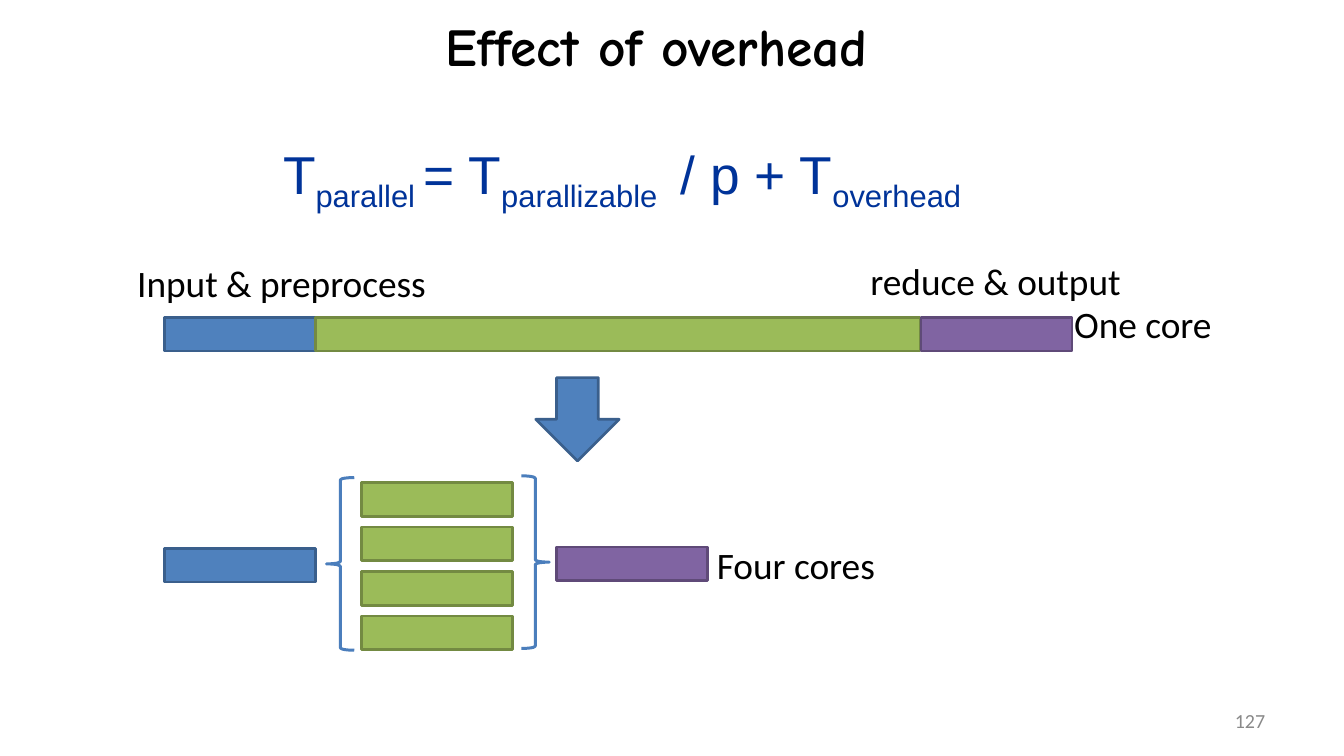
"""Build a slide on how overhead affects parallel run time."""
from typing import NamedTuple

from pptx import Presentation
from pptx.dml.color import RGBColor
from pptx.enum.shapes import MSO_SHAPE
from pptx.enum.text import MSO_ANCHOR, PP_ALIGN
from pptx.util import Pt

RECT, ARROW = MSO_SHAPE.RECTANGLE, MSO_SHAPE.DOWN_ARROW
OPEN, CLOSE = MSO_SHAPE.LEFT_BRACE, MSO_SHAPE.RIGHT_BRACE
TOP, MIDDLE = MSO_ANCHOR.TOP, MSO_ANCHOR.MIDDLE
LEFT, CENTER, RIGHT = PP_ALIGN.LEFT, PP_ALIGN.CENTER, PP_ALIGN.RIGHT

BLUE, GREEN, PURPLE = ("4F81BD", "3A5F8C"), ("9BBB59", "738A42"), ("8064A2", "5F4A78")
BRACE = "4B7EBC"
UNIT, HIGH = 113.3, 25.2
START, SPLIT, JOIN = 123.6, 271.2, 417.6


class Block(NamedTuple):
    """A filled shape: place, fill and line pair, and preset."""
    x: float
    y: float
    w: float
    h: float
    hue: tuple[str, str]
    kind: MSO_SHAPE = RECT


class Label(NamedTuple):
    """A line of text with its box and look."""
    text: str
    x: float
    y: float
    w: float
    h: float
    size: float = 28
    font: str = "Calibri"
    hue: str = "000000"
    bold: bool = False
    wrap: bool = False
    align: PP_ALIGN = LEFT
    anchor: MSO_ANCHOR = TOP


def color(code: str) -> RGBColor:
    """Turn a hex string into a colour."""
    return RGBColor.from_string(code)


def draw_shape(slide, kind: MSO_SHAPE, x: float, y: float, w: float, h: float,
               line: str, width: float):
    """Add an outlined shape without shadow or fill."""
    shape = slide.shapes.add_shape(kind, Pt(x), Pt(y), Pt(w), Pt(h))
    shape.shadow.inherit = False
    shape.fill.background()
    shape.line.color.rgb = color(line)
    shape.line.width = Pt(width)
    return shape


def draw_block(slide, block: Block) -> None:
    """Add one filled block."""
    fill, line = block.hue
    shape = draw_shape(slide, block.kind, block.x, block.y, block.w, block.h, line, 2)
    shape.fill.solid()
    shape.fill.fore_color.rgb = color(fill)


def style_run(run, label: Label) -> None:
    """Give a run the font of its label."""
    run.font.name = label.font
    run.font.size = Pt(label.size)
    run.font.bold = label.bold
    run.font.color.rgb = color(label.hue)


def draw_label(slide, label: Label):
    """Add one label and return its paragraph."""
    box = slide.shapes.add_textbox(Pt(label.x), Pt(label.y), Pt(label.w), Pt(label.h))
    frame = box.text_frame
    frame.text = label.text
    frame.word_wrap = label.wrap
    frame.vertical_anchor = label.anchor
    if label.anchor == MIDDLE:
        frame.margin_left = frame.margin_right = Pt(8.64)
        frame.margin_top = frame.margin_bottom = Pt(4.32)
    para = frame.paragraphs[0]
    para.alignment = label.align
    for run in para.runs:
        style_run(run, label)
    return para


def draw_sum(slide, label: Label, parts: list[tuple[str, str]]) -> None:
    """Add a formula from pairs of plain text and subscript."""
    para = draw_label(slide, label)
    for pair in parts:
        for text, base in zip(pair, ("0", "-25000")):
            run = para.add_run()
            run.text = text
            style_run(run, label)
            run.font._element.set("baseline", base)


def main() -> None:
    """Draw the slide and save it."""
    deck = Presentation()
    deck.slide_width, deck.slide_height = Pt(1008), Pt(567.36)
    slide = deck.slides.add_slide(deck.slide_layouts[6])

    draw_label(slide, Label("Effect of overhead", 50.4, 11.5, 884.2, 45.4, 40, "Comic Neue",
                            bold=True, wrap=True, align=CENTER, anchor=MIDDLE))
    draw_sum(slide, Label("", 205.2, 102.2, 635, 55.4, 40, "Arial", "003399", wrap=True),
             [("T", "parallel "), ("= T", "parallizable "), (" / p + T", "overhead")])

    serial = [
        Block(START, 238.3, UNIT, HIGH, BLUE),
        Block(START + UNIT, 238.3, 4 * UNIT, HIGH, GREEN),
        Block(START + 5 * UNIT + 0.7, 238.3, UNIT, HIGH, PURPLE),
    ]
    cores = [Block(SPLIT, 362.2 + 33.4 * i, UNIT, HIGH, GREEN) for i in range(4)]
    ends = [
        Block(START, 411.5, UNIT, HIGH, BLUE),
        Block(JOIN, 410.5, UNIT, HIGH, PURPLE),
    ]
    arrow = Block(401.8, 283.4, 62.6, 62.6, BLUE, ARROW)
    for block in [*serial, arrow, *ends, *cores]:
        draw_block(slide, block)
    for kind, x, y in ((OPEN, 244.8, 358.4), (CLOSE, 391, 357.1)):
        draw_shape(slide, kind, x, y, 20.9, 129.6, BRACE, 2.25)

    for label in (
        Label("Input & preprocess", 95.8, 191.5, 234, 41),
        Label("reduce & output", 645.8, 190.1, 204.5, 41),
        Label("One core", 798.5, 222.5, 118.8, 41),
        Label("Four cores", 530.6, 403.2, 134.6, 41),
        Label("127", 722.2, 525.6, 235.4, 30.2, 15, hue="898989",
              wrap=True, align=RIGHT, anchor=MIDDLE),
    ):
        draw_label(slide, label)
    deck.save("out.pptx")


if __name__ == "__main__":
    main()
